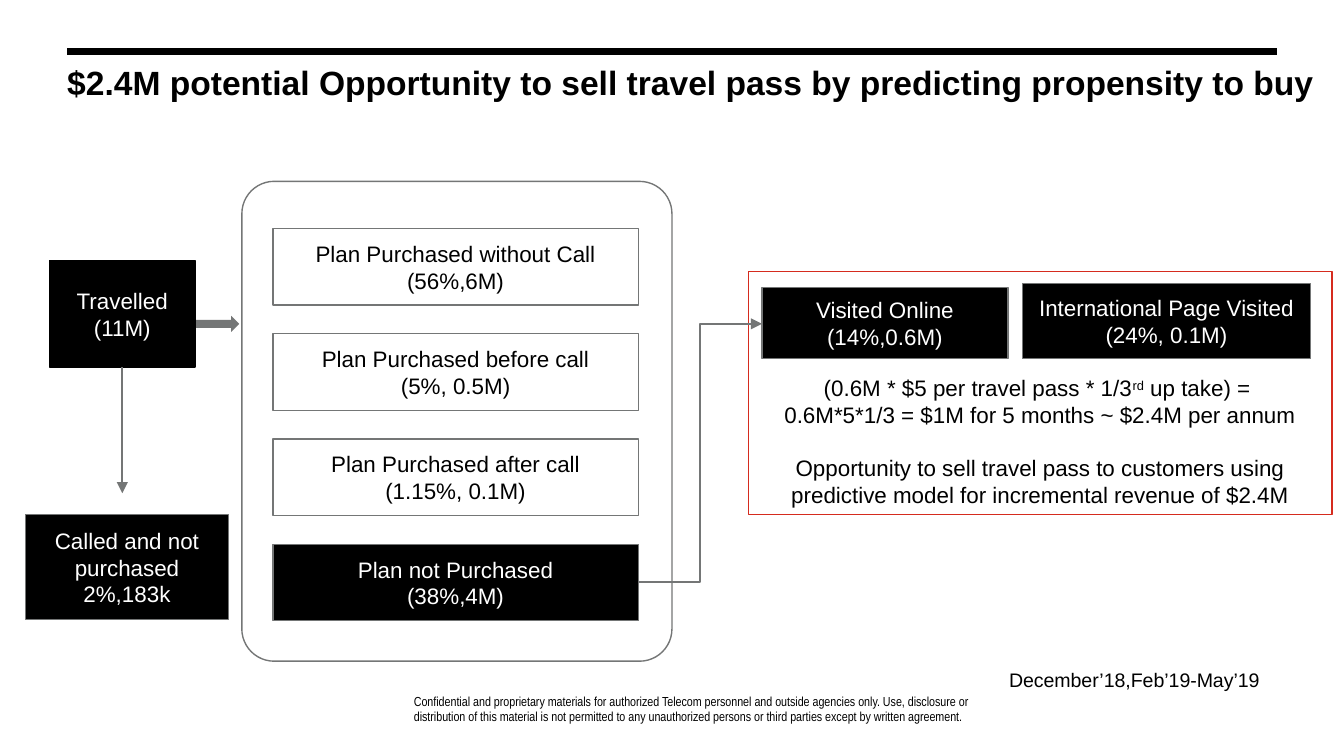
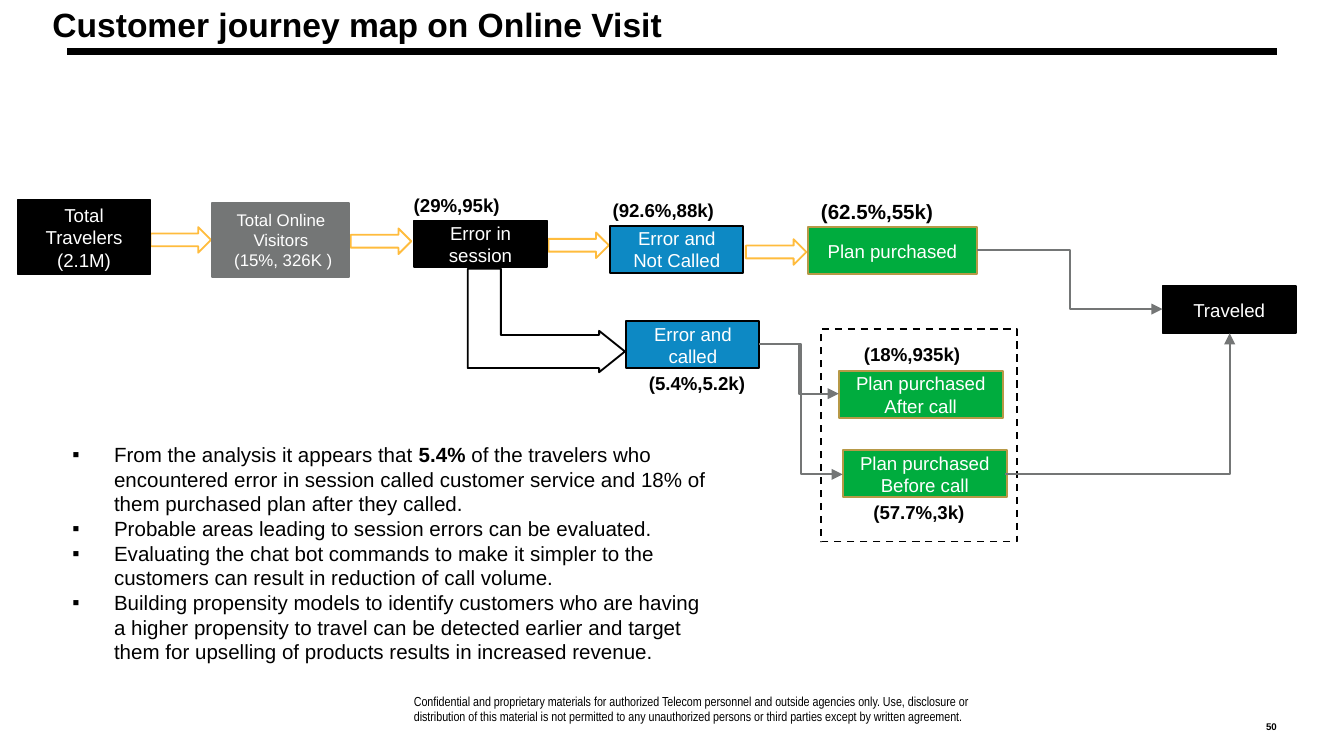
from lxml import etree
from pptx import Presentation
from pptx.dml.color import RGBColor
from pptx.enum.dml import MSO_LINE
from pptx.enum.shapes import MSO_CONNECTOR as LINK, MSO_SHAPE as SHAPE
from pptx.enum.text import MSO_ANCHOR as ANCHOR, PP_ALIGN as ALIGN
from pptx.oxml.ns import qn
from pptx.util import Inches, Pt

COLORS = {
    "black": "000000", "white": "FFFFFF", "gray": "747676", "red": "D52B1E",
    "amber": "FFBC3D", "green": "00AC3E", "gold": "B79947", "blue": "0D89C4",
}
COLORS = {name: RGBColor.from_string(value) for name, value in COLORS.items()}


def write(holder, paragraphs, size, color="black", bold=False, align=ALIGN.LEFT,
          anchor=ANCHOR.TOP, insets=(0.1, 0.05, 0.1, 0.05), font="Arial"):
    frame = holder.text_frame
    frame.word_wrap = True
    frame.vertical_anchor = anchor
    frame.margin_left, frame.margin_top, frame.margin_right, frame.margin_bottom = map(Inches, insets)
    for index, content in enumerate(paragraphs):
        paragraph = frame.paragraphs[0] if index == 0 else frame.add_paragraph()
        paragraph.alignment = align
        pieces = [(content, "")] if isinstance(content, str) else content
        for text, style in pieces:
            run = paragraph.add_run()
            run.text = text
            run.font.name = font
            run.font.size = Pt(size)
            run.font.bold = bold or style == "bold"
            run.font.color.rgb = COLORS[color]
            if style == "superscript":
                run._r.get_or_add_rPr().set("baseline", "30000")
    return frame


def draw(slide, kind, at, fill, line, width=0.75):
    shape = slide.shapes.add_shape(kind, *map(Inches, at))
    shape.shadow.inherit = False
    if fill:
        shape.fill.solid()
        shape.fill.fore_color.rgb = COLORS[fill]
    else:
        shape.fill.background()
    if line:
        shape.line.color.rgb = COLORS[line]
        shape.line.width = Pt(width)
    else:
        shape.line.fill.background()
    return shape


CENTERED = {"align": ALIGN.CENTER, "anchor": ANCHOR.MIDDLE}
CONFIDENTIAL = (
    "Confidential and proprietary materials for authorized Telecom personnel and outside "
    "agencies only. Use, disclosure or distribution of this material is not permitted to any "
    "unauthorized persons or third parties except by written agreement."
)

deck = Presentation()
deck.slide_width = Inches(10)
deck.slide_height = Inches(10 * 9 / 16)
opportunity = deck.slides.add_slide(deck.slide_layouts[6])
journey = deck.slides.add_slide(deck.slide_layouts[6])
connectors = []

for slide, headline, at in (
    (opportunity, "$2.4M potential Opportunity to sell travel pass by predicting propensity to buy",
     (0.5, 0.52, 9.32, 0.56)),
    (journey, "Customer journey map on Online Visit", (0.39, 0.09, 7.75, 0.56)),
):
    footer = slide.shapes.add_textbox(*map(Inches, (3.08, 5.14, 4.4, 0.25)))
    write(footer, [CONFIDENTIAL], 7, anchor=ANCHOR.BOTTOM, insets=(0, 0, 0.2, 0), font="Arial Narrow")
    rule = slide.shapes.add_connector(LINK.STRAIGHT, *map(Inches, (0.5, 0.38, 9.5, 0.38)))
    rule.line.color.rgb = COLORS["black"]
    rule.line.width = Pt(3.75)
    connectors.append(rule)
    title = slide.shapes.add_textbox(*map(Inches, at))
    title_frame = write(title, [headline], 18, bold=True, insets=(0, 0, 0, 0))
    title_frame.paragraphs[0].line_spacing = 0.8

revenue = draw(opportunity, SHAPE.RECTANGLE, (5.57, 2.02, 4.34, 1.81), "white", "red")
revenue_frame = write(revenue, [
    [("(0.6M * $5 per travel pass * 1/3", ""), ("rd", "superscript"), (" up take) = ", "")],
    "0.6M*5*1/3 = $1M for 5 months ~ $2.4M per annum",
    "Opportunity to sell travel pass to customers using predictive model for incremental revenue of $2.4M",
], 12, align=ALIGN.CENTER, anchor=ANCHOR.BOTTOM)
revenue_frame.paragraphs[2].space_before = Pt(14)

plans_panel = draw(opportunity, SHAPE.ROUNDED_RECTANGLE, (1.8, 1.35, 3.2, 3.57), "white", "gray")
plans_panel.adjustments[0] = 0.075
draw(opportunity, SHAPE.RIGHT_ARROW, (1.46, 2.35, 0.32, 0.12), "gray", None)

travelled = draw(opportunity, SHAPE.RECTANGLE, (0.37, 1.94, 1.08, 0.79), "black", "black")
write(travelled, ["Travelled", "(11M)"], 12, "white", **CENTERED)

for row, (plan, share, fill, ink) in enumerate((
    ("Plan Purchased without Call", "(56%,6M)", "white", "black"),
    ("Plan Purchased before call", "(5%, 0.5M)", "white", "black"),
    ("Plan Purchased after call", "(1.15%, 0.1M)", "white", "black"),
    ("Plan not Purchased", "(38%,4M)", "black", "white"),
)):
    option = draw(opportunity, SHAPE.RECTANGLE, (2.03, 1.7 + row * 2.35 / 3, 2.72, 0.57), fill, "gray")
    write(option, [plan, share], 12, ink, **CENTERED)

for at, lines in (
    ((5.67, 2.14, 1.83, 0.53), ["Visited Online", "(14%,0.6M)"]),
    ((7.61, 2.11, 2.14, 0.56), ["International Page Visited", "(24%, 0.1M)"]),
    ((0.19, 3.83, 1.51, 0.78), ["Called and not purchased 2%,183k"]),
):
    write(draw(opportunity, SHAPE.RECTANGLE, at, "black", "gray"), lines, 12, "white", **CENTERED)

period = opportunity.shapes.add_textbox(*map(Inches, (7.41, 4.92, 2.2, 0.28)))
write(period, ["December’18,Feb’19-May’19"], 10.5)

page_number = journey.shapes.add_textbox(*map(Inches, (9.25, 5.26, 0.25, 0.19)))
write(page_number, ["50"], 5.2, bold=True, align=ALIGN.RIGHT, anchor=ANCHOR.BOTTOM, insets=(0, 0, 0, 0))

for left, top in ((1.12, 1.69), (2.61, 1.7), (4.08, 1.73), (5.55, 1.78)):
    draw(journey, SHAPE.RIGHT_ARROW, (left, top, 0.45, 0.19), "white", "amber", 1)

error_branch = draw(journey, SHAPE.BENT_UP_ARROW, (3.68, 1.8, 0.77, 1.17), "white", "black", 1)
error_branch.rotation = 90
for index, value in enumerate((0.32, 0.2, 0.25)):
    error_branch.adjustments[index] = value

for at, lines, fill, line, size in (
    ((0.13, 1.49, 0.99, 0.55), ["Total Travelers", "(2.1M)"], "black", "black", 10),
    ((1.58, 1.51, 1.02, 0.55), ["Total Online Visitors", " (15%, 326K )"], "gray", "gray", 9),
    ((3.08, 1.64, 0.99, 0.35), ["Error in session"], "black", "black", 10),
    ((4.54, 1.68, 0.99, 0.35), ["Error and Not Called"], "blue", "black", 10),
    ((4.66, 2.39, 0.99, 0.35), ["Error and called"], "blue", "black", 10),
    ((6.01, 1.69, 1.26, 0.35), ["Plan purchased"], "green", "gold", 10),
    ((6.24, 2.76, 1.22, 0.35), ["Plan purchased After call"], "green", "gold", 10),
    ((6.27, 3.35, 1.22, 0.35), ["Plan purchased Before call"], "green", "gold", 10),
    ((8.65, 2.13, 0.99, 0.35), ["Traveled"], "black", "black", 10),
):
    write(draw(journey, SHAPE.RECTANGLE, at, fill, line, 1), lines, size, "white", **CENTERED)

callers_frame = draw(journey, SHAPE.RECTANGLE, (6.11, 2.45, 1.46, 1.58), None, "black", 1)
callers_frame.line.dash_style = MSO_LINE.DASH

for left, top, width, height, share, size in (
    (2.98, 1.39, 1.49, 0.27, "(29%,95k)", 10),
    (4.46, 1.43, 1.16, 0.28, "(92.6%,88k)", 10),
    (6.33, 2.5, 0.92, 0.27, "(18%,935k)", 10),
    (4.73, 2.72, 1.01, 0.27, "(5.4%,5.2k)", 10),
    (6.4, 3.68, 1.74, 0.27, "(57.7%,3k)", 10),
    (6.01, 1.43, 1.55, 0.31, "(62.5%,55k)", 11),
):
    share_label = journey.shapes.add_textbox(*map(Inches, (left, top, width, height)))
    write(share_label, [share], size, bold=True)

findings = journey.shapes.add_textbox(*map(Inches, (0.44, 3.24, 4.95, 2)))
findings_frame = write(findings, [
    [("From the analysis it appears that ", ""), ("5.4%", "bold"),
     (" of the travelers who encountered error in session called customer service and 18% of "
      "them purchased plan after they called.", "")],
    "Probable areas leading to session errors can be evaluated.",
    "Evaluating the chat bot commands to make it simpler to the customers can result in "
    "reduction of call volume.",
    "Building propensity models to identify customers who are having a higher propensity to "
    "travel can be detected earlier and target them for upselling of products results in "
    "increased revenue.",
], 11)
for finding in findings_frame.paragraphs:
    properties = finding._p.get_or_add_pPr()
    properties.set("marL", str(Inches(0.31)))
    properties.set("indent", str(-Inches(0.31)))
    bullet_color = etree.SubElement(properties, qn("a:buClr"))
    etree.SubElement(bullet_color, qn("a:srgbClr"), val=str(COLORS["black"]))
    etree.SubElement(properties, qn("a:buFont"), typeface="Arial")
    etree.SubElement(properties, qn("a:buChar"), char="▪")

for slide, route, ends in (
    (opportunity, "line", (0.91, 2.73, 0.91, 3.67)),
    (opportunity, "bentConnector3", (4.75, 4.33, 5.67, 2.41)),
    (journey, "bentConnector3", (7.27, 1.86, 8.65, 2.3)),
    (journey, "bentConnector2", (7.48, 3.53, 9.15, 2.48)),
    (journey, "bentConnector3", (5.65, 2.56, 6.27, 3.53)),
    (journey, "bentConnector3", (5.65, 2.56, 6.24, 2.93)),
):
    kind = LINK.STRAIGHT if route == "line" else LINK.ELBOW
    flow = slide.shapes.add_connector(kind, *map(Inches, ends))
    flow._element.spPr.find(qn("a:prstGeom")).set("prst", route)
    flow.line.color.rgb = COLORS["gray"]
    flow.line.width = Pt(1)
    etree.SubElement(flow.line._get_or_add_ln(), qn("a:tailEnd"), type="triangle")
    if route == "line":
        flow.begin_connect(travelled, 2)
    connectors.append(flow)

for connector in connectors:
    etree.SubElement(connector._element.spPr, qn("a:effectLst"))

deck.save("out.pptx")
